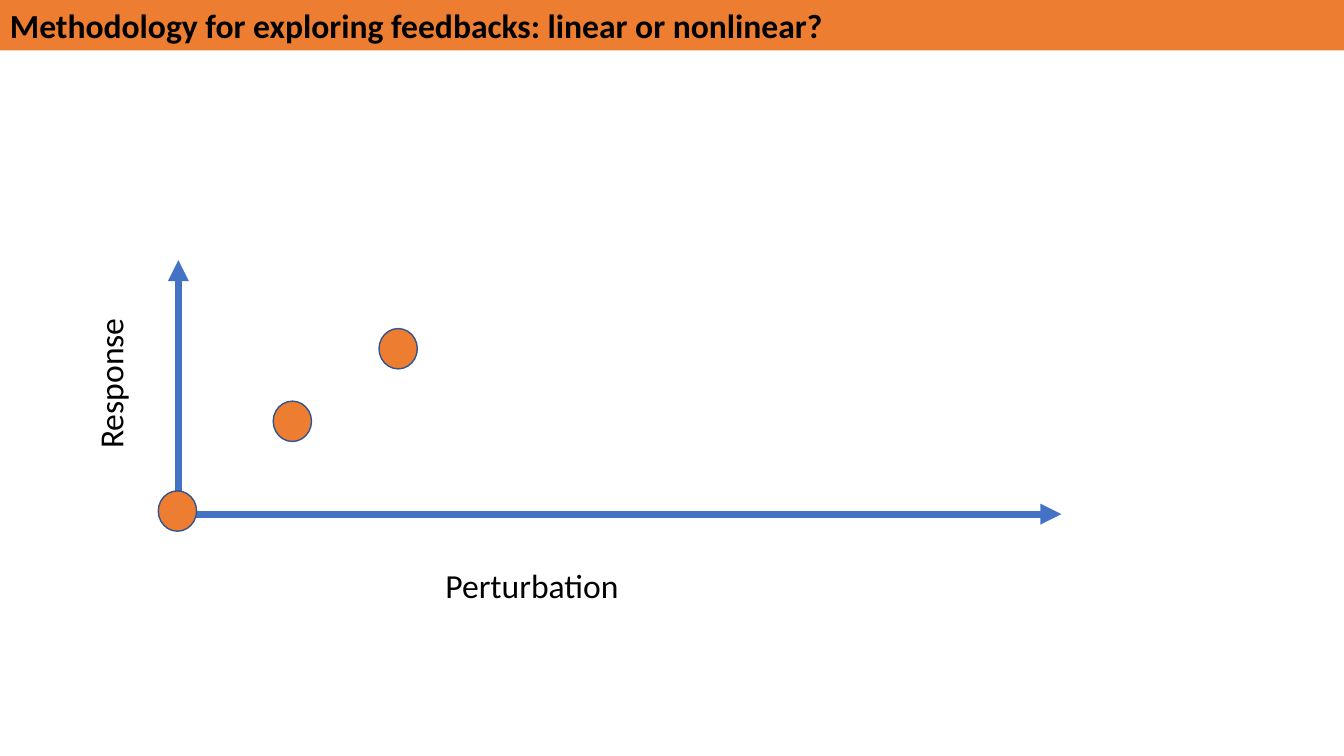
from dataclasses import dataclass

from lxml import etree
from pptx import Presentation
from pptx import util as u
from pptx.dml.color import RGBColor
from pptx.enum import shapes, text
from pptx.oxml import ns
from pptx.shapes.autoshape import Shape
from pptx.shapes.connector import Connector
from pptx.slide import Slide

ORANGE = RGBColor(0xED, 0x7D, 0x31)
BLUE = RGBColor(0x44, 0x72, 0xC4)
NAVY = RGBColor(0x32, 0x54, 0x91)
BLACK = RGBColor(0, 0, 0)

COLS, ROWS = 80, 45
WIDTH, HEIGHT = u.Inches(13.33), u.Inches(7.5)
DOT_W, DOT_H = 2.28, 2.4
LABEL_W, LABEL_H = 29.04, 3


@dataclass(frozen=True)
class Axis:
    col: float
    row: float
    end_col: float
    end_row: float


@dataclass(frozen=True)
class Label:
    words: str
    col: float
    row: float
    rotation: int = 0


@dataclass(frozen=True)
class Dot:
    col: float
    row: float


AXES = [Axis(10.26, 30.6, 63.18, 30.6), Axis(10.62, 30.6, 10.62, 15.48)]
LABELS = [Label("Perturbation", 25.92, 33.36), Label("Response", -7.98, 11.28, 270)]
DOTS = [Dot(10.56, 30.42), Dot(17.4, 25.08), Dot(23.7, 20.76)]


def x(cols: float) -> u.Emu:
    return u.Emu(round(WIDTH * cols / COLS))


def y(rows: float) -> u.Emu:
    return u.Emu(round(HEIGHT * rows / ROWS))


def write(sp: Shape, words: str, bold: bool = False) -> None:
    tf = sp.text_frame
    tf.word_wrap = True
    p = tf.paragraphs[0]
    p.text = words
    p.alignment = text.PP_ALIGN.LEFT
    p.font.name = "Calibri"
    p.font.size = u.Pt(24)
    p.font.bold = bold
    p.font.color.rgb = BLACK


def add_title(s: Slide, words: str) -> Shape:
    sp = s.shapes.add_shape(shapes.MSO_SHAPE.RECTANGLE, 0, 0, x(COLS), y(3))
    sp.shadow.inherit = False
    sp.fill.solid()
    sp.fill.fore_color.rgb = ORANGE
    sp.line.fill.background()
    write(sp, words, bold=True)
    return sp


def add_axis(s: Slide, axis: Axis) -> Connector:
    cn = s.shapes.add_connector(
        shapes.MSO_CONNECTOR.STRAIGHT,
        x(axis.col), y(axis.row), x(axis.end_col), y(axis.end_row),
    )
    cn.line.color.rgb = BLUE
    cn.line.width = u.Pt(5)
    ln = cn.line._get_or_add_ln()
    etree.SubElement(ln, ns.qn("a:tailEnd"), type="triangle")
    etree.SubElement(cn._element.spPr, ns.qn("a:effectLst"))
    return cn


def add_label(s: Slide, label: Label) -> Shape:
    sp = s.shapes.add_textbox(x(label.col), y(label.row), x(LABEL_W), y(LABEL_H))
    sp.rotation = label.rotation
    write(sp, label.words)
    return sp


def add_dot(s: Slide, dot: Dot) -> Shape:
    sp = s.shapes.add_shape(
        shapes.MSO_SHAPE.OVAL,
        x(dot.col - DOT_W / 2), y(dot.row - DOT_H / 2), x(DOT_W), y(DOT_H),
    )
    sp.shadow.inherit = False
    sp.fill.solid()
    sp.fill.fore_color.rgb = ORANGE
    sp.line.color.rgb = NAVY
    sp.line.width = u.Pt(1)
    return sp


def main() -> None:
    prs = Presentation()
    prs.slide_width, prs.slide_height = WIDTH, HEIGHT
    s = prs.slides.add_slide(prs.slide_layouts[6])
    add_title(s, "Methodology for exploring feedbacks: linear or nonlinear?")
    for axis in AXES:
        add_axis(s, axis)
    for label in LABELS:
        add_label(s, label)
    for dot in DOTS:
        add_dot(s, dot)
    prs.save("out.pptx")


if __name__ == "__main__":
    main()
